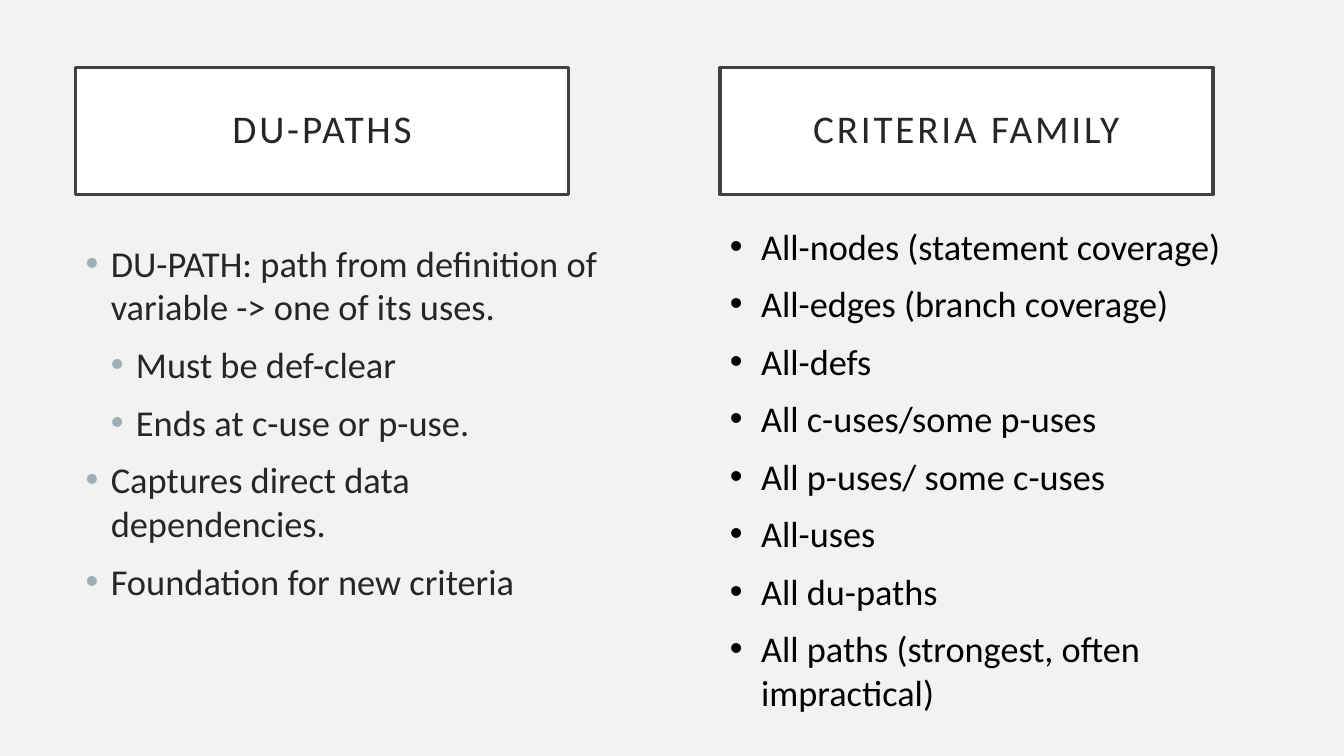
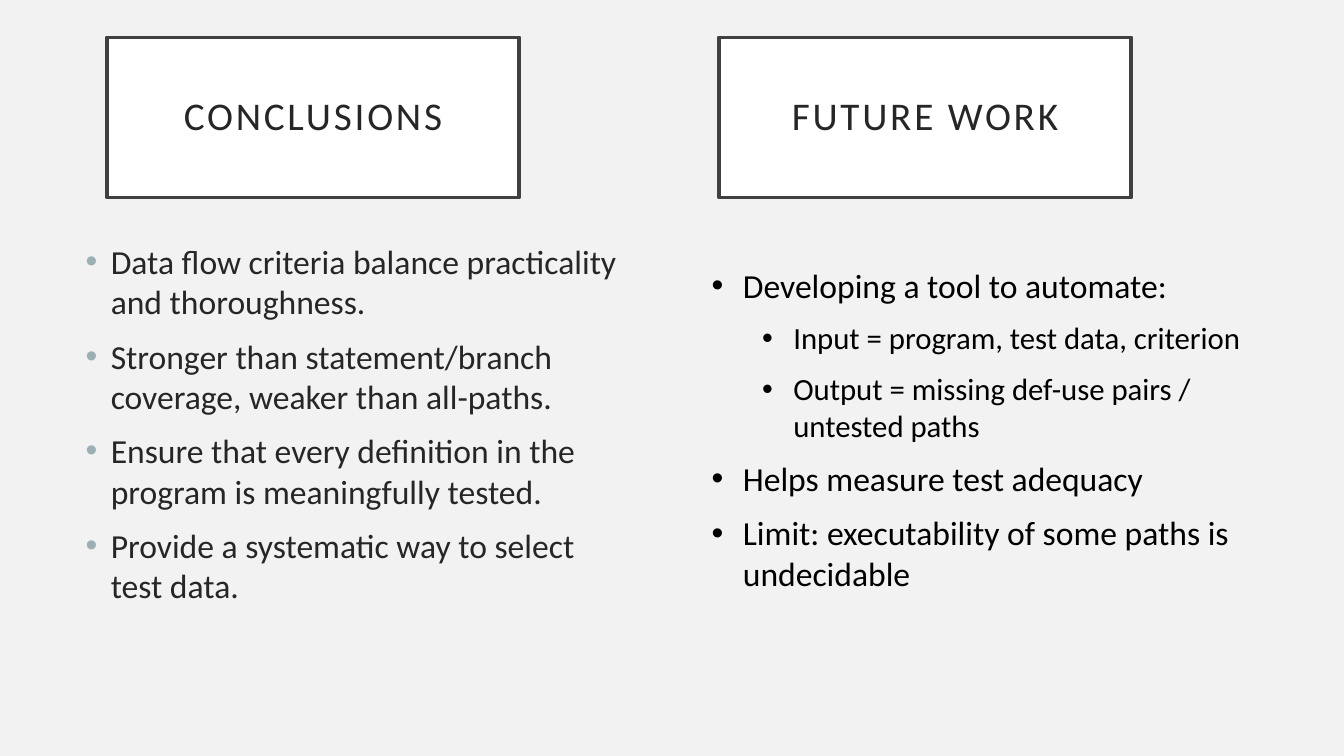
from lxml.etree import SubElement
from pptx import Presentation
from pptx.dml.color import RGBColor
from pptx.enum.shapes import MSO_SHAPE
from pptx.enum.text import MSO_ANCHOR, PP_ALIGN
from pptx.oxml.ns import qn
from pptx.util import Inches, Pt

COLORS = {"page": "F2F2F2", "box": "FFFFFF", "edge": "404040",
          "ink": "262626", "dot": "9BAFB5", "black": "000000"}
FONT = "Calibri"
TITLE = {"size": Pt(28), "name": FONT}
FRAME = {"word_wrap": True, "vertical_anchor": MSO_ANCHOR.MIDDLE,
         **{f"margin_{side}": Inches(0.2)
            for side in ("left", "top", "right", "bottom")}}
MAIN = {"ink": "ink", "dot": "dot", "hang": 0.25, "step": 0.25,
        "anchor": MSO_ANCHOR.TOP, "gap": {"space_before": Pt(10)}}
SIDE = {"ink": "black", "dot": "black", "hang": 0.31, "step": 0.5,
        "anchor": MSO_ANCHOR.MIDDLE, "gap": {"space_after": Pt(10)}}

SLIDES = [
    [
        {"title": "DU-PATHS", "head": (0.75, 0.67, 4.89, 1.26),
         "body": (0.75, 2.34, 5.45, 4.49), "style": MAIN, "sizes": (26, 26),
         "items": [
             (0, "DU-PATH: path from definition of variable -> one of its uses."),
             (1, "Must be def-clear"),
             (1, "Ends at c-use or p-use."),
             (0, "Captures direct data dependencies."),
             (0, "Foundation for new criteria")]},
        {"title": "CRITERIA FAMILY", "head": (7.14, 0.67, 4.89, 1.26),
         "body": (7.14, 2.34, 5.92, 4.62), "style": SIDE, "sizes": (25.9, 25.9),
         "items": [
             (0, "All-nodes (statement coverage)"),
             (0, "All-edges (branch coverage)"),
             (0, "All-defs"),
             (0, "All c-uses/some p-uses"),
             (0, "All p-uses/ some c-uses"),
             (0, "All-uses"),
             (0, "All du-paths"),
             (0, "All paths (strongest, often impractical)")]},
    ],
    [
        {"title": "CONCLUSIONS", "head": (1.06, 0.37, 4.09, 1.59),
         "body": (0.75, 2.34, 5.62, 3.99), "style": MAIN, "sizes": (24, 24),
         "items": [
             (0, "Data flow criteria balance practicality and thoroughness."),
             (0, "Stronger than statement/branch coverage, weaker than all-paths."),
             (0, "Ensure that every definition in the program is meaningfully tested."),
             (0, "Provide a systematic way to select test data.")]},
        {"title": "FUTURE WORK", "head": (7.13, 0.37, 4.09, 1.59),
         "body": (6.96, 2.26, 5.62, 3.99), "style": SIDE, "sizes": (24, 22),
         "items": [
             (0, "Developing a tool to automate:"),
             (1, "Input = program, test data, criterion"),
             (1, "Output = missing def-use pairs / untested paths"),
             (0, "Helps measure test adequacy"),
             (0, "Limit: executability of some paths is undecidable")]},
    ],
]


def color(name):
    """Return the named colour."""
    return RGBColor.from_string(COLORS[name])


def apply(target, values):
    """Set each format value on the target."""
    for key, value in values.items():
        setattr(target, key, value)


def paint(fill, name):
    """Give a fill one solid colour."""
    fill.solid()
    fill.fore_color.rgb = color(name)


def write(para, text, ink, values):
    """Add one styled run to a paragraph."""
    run = para.add_run()
    run.text = text
    apply(run.font, values)
    run.font.color.rgb = color(ink)
    return run


def add_head(slide, box, text):
    """Place a framed title with spaced letters."""
    shape = slide.shapes.add_shape(MSO_SHAPE.RECTANGLE, *map(Inches, box))
    shape.shadow.inherit = False
    paint(shape.fill, "box")
    paint(shape.line.fill, "edge")
    shape.line.width = Pt(2.5)
    apply(shape.text_frame, FRAME)
    para = shape.text_frame.paragraphs[0]
    apply(para, {"alignment": PP_ALIGN.CENTER, "line_spacing": 0.9})
    run = write(para, text, "ink", TITLE)
    run.font._element.set("spc", "200")


def add_dot(para, level, style):
    """Give a paragraph its hanging bullet."""
    props = para._p.get_or_add_pPr()
    left = style["hang"] + level * style["step"]
    props.set("marL", str(Inches(left)))
    props.set("indent", str(-Inches(style["hang"])))
    tint = SubElement(props, qn("a:buClr"))
    SubElement(tint, qn("a:srgbClr"), val=COLORS[style["dot"]])
    SubElement(props, qn("a:buFont"), typeface="Arial")
    SubElement(props, qn("a:buChar"), char="•")


def add_list(slide, box, items, sizes, style):
    """Place a bullet list of two levels."""
    frame = slide.shapes.add_textbox(*map(Inches, box)).text_frame
    apply(frame, {"word_wrap": True, "vertical_anchor": style["anchor"]})
    for index, (level, text) in enumerate(items):
        para = frame.add_paragraph() if index else frame.paragraphs[0]
        apply(para, {"level": level, **style["gap"]})
        add_dot(para, level, style)
        write(para, text, style["ink"], {"size": Pt(sizes[level]), "name": FONT})


def add_slide(deck, parts):
    """Build one slide from its titled lists."""
    slide = deck.slides.add_slide(deck.slide_layouts[6])
    paint(slide.background.fill, "page")
    for part in parts:
        add_head(slide, part["head"], part["title"])
        add_list(slide, part["body"], part["items"], part["sizes"], part["style"])


def main():
    """Build and save the deck."""
    deck = Presentation()
    apply(deck, {"slide_width": Inches(13.33), "slide_height": Inches(7.5)})
    for parts in SLIDES:
        add_slide(deck, parts)
    deck.save("out.pptx")


if __name__ == "__main__":
    main()
